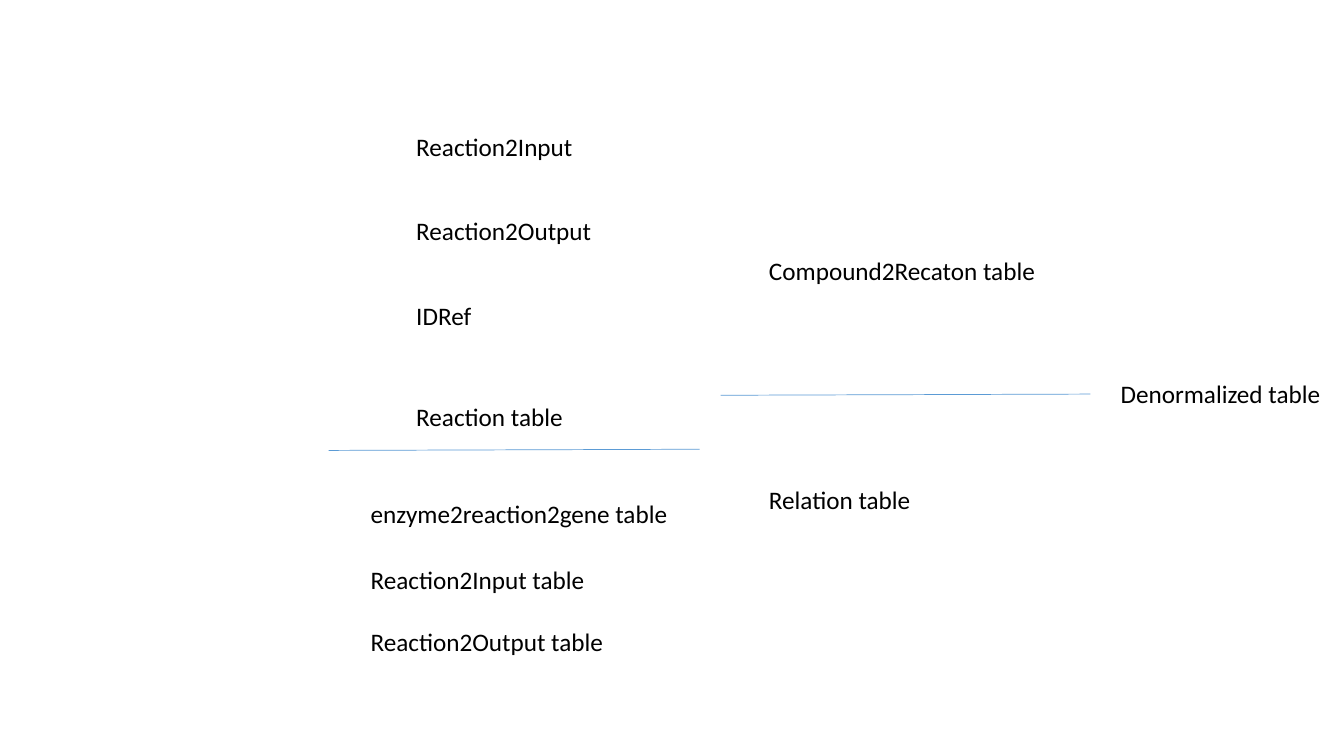
from pptx import Presentation
from pptx.dml.color import RGBColor as Rgb
from pptx.enum.shapes import MSO_CONNECTOR as Link
from pptx.enum.text import MSO_AUTO_SIZE as Fit
from pptx.util import Cm, Pt
from lxml.etree import SubElement as Sub
from pptx.oxml.ns import qn

HUES = {"text": "000000", "rule": "5B9BD5"}
FONT = {"name": "Calibri", "size": Pt(18)}
FRAME = {"word_wrap": True, "auto_size": Fit.SHAPE_TO_FIT_TEXT}
HIGH = 1.02


def apply(item, form):
    for key, value in form.items():
        setattr(item, key, value)


def label(slide, text, x, y, wide):
    box = slide.shapes.add_textbox(Cm(x), Cm(y), Cm(wide), Cm(HIGH))
    apply(box.text_frame, FRAME)
    run = box.text_frame.paragraphs[0].add_run()
    run.text = text
    apply(run.font, FONT)
    run.font.color.rgb = Rgb.from_string(HUES["text"])


def rule(slide, x, y, wide):
    line = slide.shapes.add_connector(
        Link.STRAIGHT, Cm(x), Cm(y), Cm(x + wide), Cm(y - 0.03))
    line.line.color.rgb = Rgb.from_string(HUES["rule"])
    line.line.width = Pt(0.5)
    Sub(line._element.spPr, qn("a:effectLst"))


def sources(slide, x, y, wide):
    # Reaction fields, then the table they belong to
    for row, text in enumerate(("Reaction2Input", "Reaction2Output", "IDRef")):
        label(slide, text, x + 1.96, y + row * 2.13, 7.42)
    label(slide, "Reaction table", x + 1.96, y + 6.8, 7.42)
    rule(slide, x, y + 8.17, wide)
    # Tables below the rule
    lower = {"enzyme2reaction2gene table": 9.24,
             "Reaction2Input table": 10.92,
             "Reaction2Output table": 12.47}
    for text, drop in lower.items():
        label(slide, text, x + 0.81, y + drop, 8.53)


def joins(slide, x, y, wide):
    # Joined tables on either side of the rule
    label(slide, "Compound2Recaton table", x + 0.97, y, 7.42)
    rule(slide, x, y + 3.64, wide)
    label(slide, "Relation table", x + 0.97, y + 5.75, 4.9)


def result(slide, x, y, wide):
    label(slide, "Denormalized table", x, y, wide)


deck = Presentation()
apply(deck, {"slide_width": Cm(33.87), "slide_height": Cm(19.05)})
page = deck.slides.add_slide(deck.slide_layouts[6])

# Three stages from left to right
sources(page, 8.28, 3.18, 9.35)
joins(page, 18.16, 6.32, 9.32)
result(page, 27.99, 9.42, 5.87)

deck.save("out.pptx")
